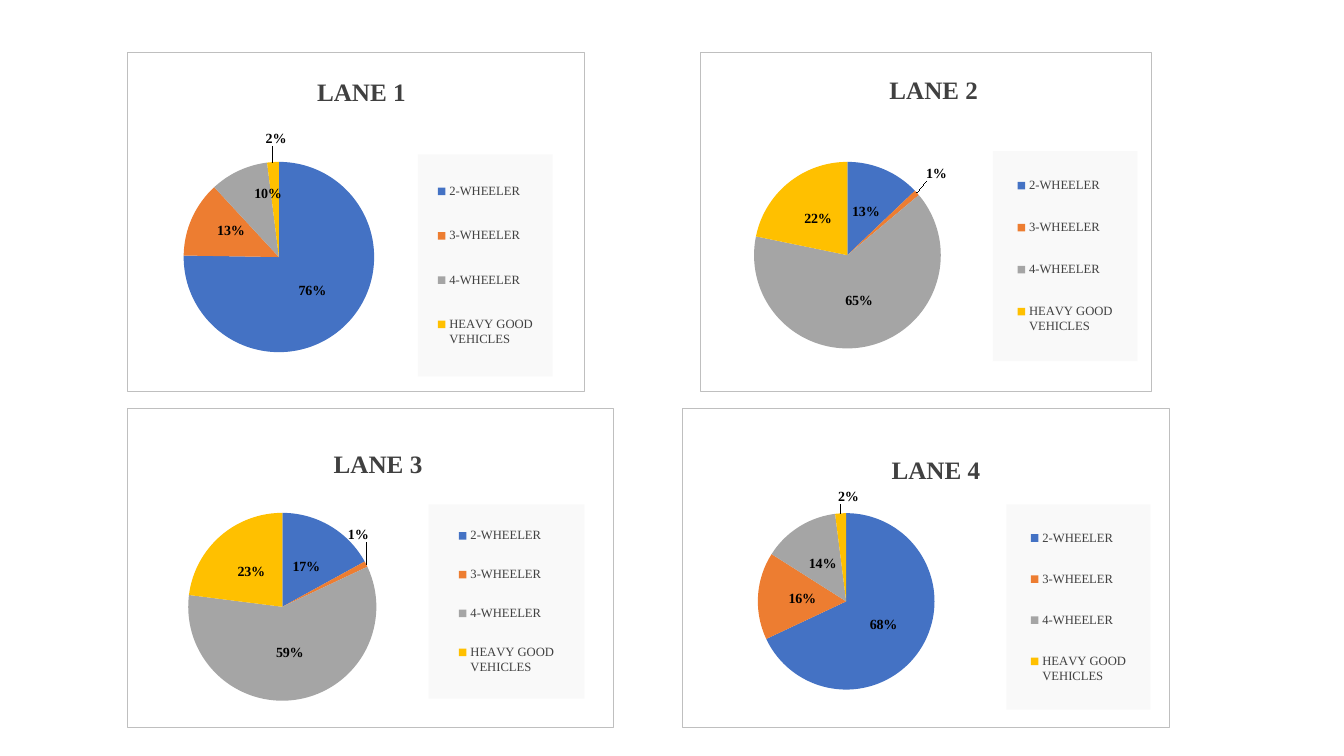
from dataclasses import dataclass
from typing import NamedTuple

from lxml import etree
from pptx import Presentation
from pptx import util as u
from pptx.chart.data import CategoryChartData
from pptx.dml.color import RGBColor
from pptx.enum import chart as kinds
from pptx.oxml import parse_xml
from pptx.oxml.ns import nsdecls, qn

SERIF = "Times New Roman"
PERCENT = '0"%"'
VEHICLES = {
    "2-WHEELER": "4472C4",
    "3-WHEELER": "ED7D31",
    "4-WHEELER": "A5A5A5",
    "HEAVY GOOD VEHICLES": "FFC000",
}


class Area(NamedTuple):
    """Left, top, width and height as percentages of the surrounding frame."""
    x: float
    y: float
    w: float = 0
    h: float = 0


@dataclass(frozen=True)
class Lane:
    """One lane's vehicle shares and the arrangement of its chart."""
    name: str
    values: tuple[int, ...]
    frame: Area
    title: Area
    plot: Area
    legend: Area
    moved_labels: dict[int, Area]


LANES = (
    Lane("LANE 1", (76, 13, 10, 2), Area(9.45, 6.93, 34.06, 44.93),
         Area(40.5, 5.7), Area(5.8, 32.2, 54.7, 56.2), Area(63.6, 30, 29.5, 65.5),
         {1: Area(-1, -2), 2: Area(2, -6), 3: Area(0, -21)}),
    Lane("LANE 2", (13, 1, 65, 22), Area(52.06, 6.93, 33.68, 44.93),
         Area(40.9, 5), Area(5.8, 32.2, 53.6, 55.1), Area(64.8, 29, 32, 62),
         {1: Area(12, -15)}),
    Lane("LANE 3", (17, 1, 59, 23), Area(9.45, 54, 36.23, 42.27),
         Area(41.5, 11), Area(3.2, 32.7, 57.3, 59), Area(62, 30, 32, 61),
         {1: Area(7, -16)}),
    Lane("LANE 4", (68, 16, 14, 2), Area(50.71, 54, 36.38, 42.27),
         Area(42, 13), Area(5.8, 32.8, 55.7, 55.4), Area(66.5, 30, 29.5, 64.5),
         {3: Area(1, -19)}),
)


def color(value: str) -> RGBColor:
    """Turn a hex string into a colour."""
    return RGBColor.from_string(value)


def style(font, size: float, value: str, bold: bool = False, name: str = SERIF) -> None:
    """Set the face, size, colour and weight of a font."""
    font.name, font.size, font.bold = name, u.Pt(size), bold
    font.color.rgb = color(value)


def layout(area: Area, edge: bool = True, inner: bool = False) -> etree._Element:
    """Build a manual chart layout; without edge it is an offset."""
    tags = [("layoutTarget", "inner")] if inner else []
    if edge:
        tags += [("xMode", "edge"), ("yMode", "edge")]
    tags += [(tag, f"{share / 100:.3f}") for tag, share in area._asdict().items()
             if share or tag in "xy"]
    body = "".join(f'<c:{tag} val="{value}"/>' for tag, value in tags)
    return parse_xml(f'<c:layout {nsdecls("c")}><c:manualLayout>{body}'
                     '</c:manualLayout></c:layout>')


def place(parent: etree._Element, position: int, element: etree._Element) -> None:
    """Put a layout into its parent in place of any earlier one."""
    for old in parent.findall(qn("c:layout")):
        parent.remove(old)
    parent.insert(position, element)


def surface(fill: str, line: str = "") -> etree._Element:
    """Build the fill and border of a chart part."""
    paint = '<a:solidFill><a:srgbClr val="{}"/></a:solidFill>'
    stroke = paint.format(line) if line else "<a:noFill/>"
    return parse_xml(f'<c:spPr {nsdecls("c", "a")}>{paint.format(fill)}'
                     f'<a:ln w="{u.Pt(0.75)}">{stroke}</a:ln></c:spPr>')


def format_slices(series, moved_labels: dict[int, Area]) -> None:
    """Colour the slices and set their percentage labels."""
    labels = series.data_labels
    labels.show_value = True
    labels.number_format, labels.number_format_is_linked = PERCENT, False
    labels.position = kinds.XL_LABEL_POSITION.CENTER
    style(labels.font, 10, "000000", True)
    for index, fill in enumerate(VEHICLES.values()):
        slice_fill = series.points[index].format.fill
        slice_fill.solid()
        slice_fill.fore_color.rgb = color(fill)
    for index, offset in moved_labels.items():
        label = series.points[index].data_label
        style(label.font, 10, "000000", True)
        label.position = kinds.XL_LABEL_POSITION.CENTER
        element = series._element.xpath(f'c:dLbls/c:dLbl[c:idx/@val="{index}"]')[0]
        place(element, 1, layout(offset, edge=False))
        element.insert(2, parse_xml(f"<c:numFmt {nsdecls('c')} formatCode='{PERCENT}' "
                                    "sourceLinked='0'/>"))


def draw_lane(page, deck, lane: Lane) -> None:
    """Draw the pie chart of one lane."""
    data = CategoryChartData()
    data.categories = list(VEHICLES)
    data.add_series("Series 1", lane.values)
    sides = (deck.slide_width, deck.slide_height) * 2
    box = [round(side * share / 100) for side, share in zip(sides, lane.frame)]
    chart = page.shapes.add_chart(kinds.XL_CHART_TYPE.PIE, *box, data).chart
    style(chart.font, 10, "000000", name="Calibri")
    root = chart._chartSpace
    root.find(qn("c:txPr")).addprevious(surface("FFFFFF", "BFBFBF"))
    root.insert(0, parse_xml(f'<c:roundedCorners {nsdecls("c")} val="0"/>'))

    chart.has_title = True
    para = chart.chart_title.text_frame.paragraphs[0]
    para.text = lane.name
    style(para.font, 18, "404040", True)
    place(chart.chart_title._element, 1, layout(lane.title))

    chart.has_legend = True
    legend = chart.legend
    legend.position = kinds.XL_LEGEND_POSITION.RIGHT
    legend.include_in_layout = False
    style(legend.font, 9, "404040")
    place(legend._element, 1, layout(lane.legend))
    legend._element.find(qn("c:txPr")).addprevious(surface("F9F9F9"))

    plot = chart.plots[0]
    plot.vary_by_categories = True
    place(plot._element.getparent(), 0, layout(lane.plot, inner=True))
    format_slices(plot.series[0], lane.moved_labels)


def main() -> None:
    """Build the slide with one pie chart per lane."""
    deck = Presentation()
    deck.slide_width, deck.slide_height = u.Inches(13.33), u.Inches(7.5)
    page = deck.slides.add_slide(deck.slide_layouts[6])
    for lane in LANES:
        draw_lane(page, deck, lane)
    deck.save("out.pptx")


if __name__ == "__main__":
    main()
